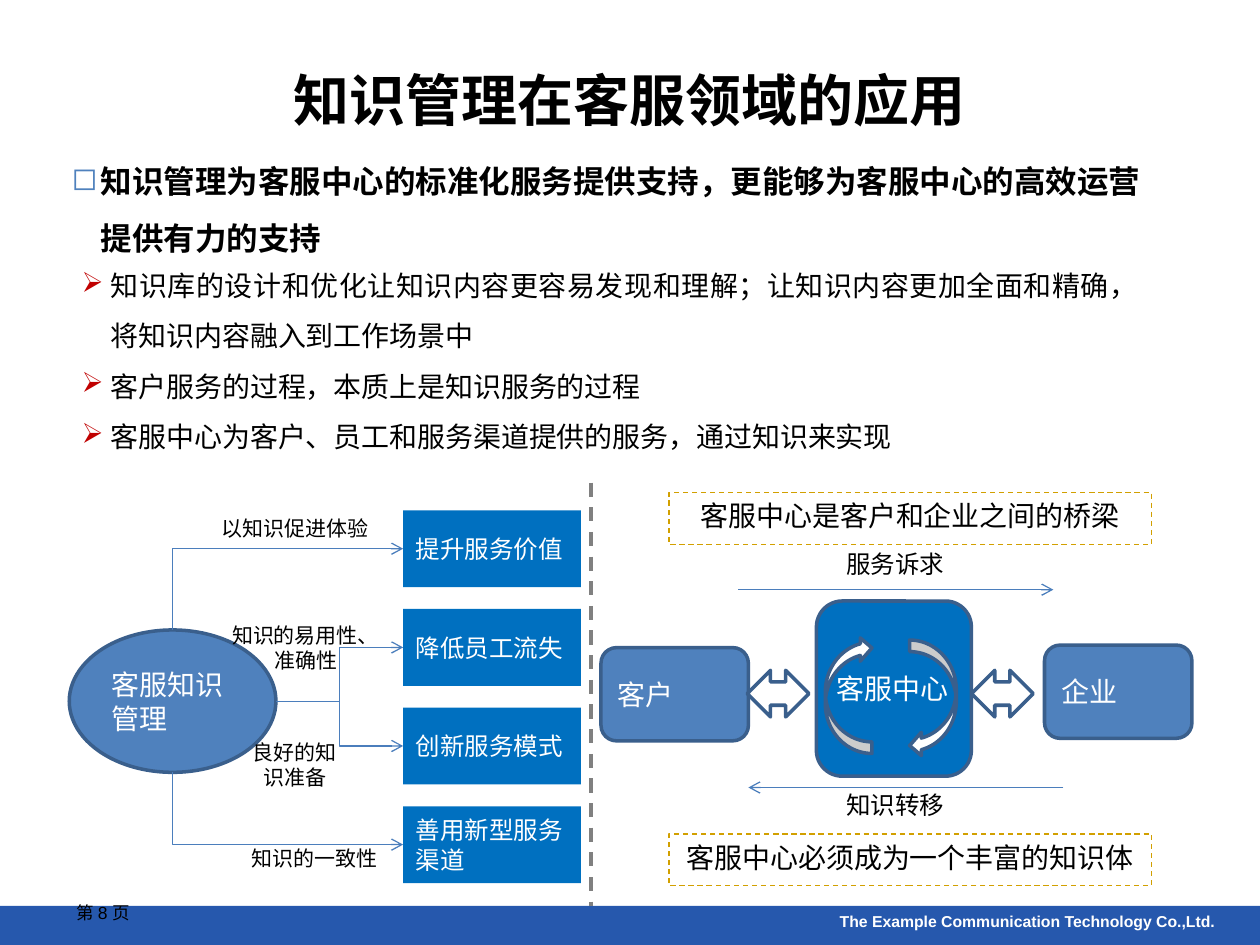
from lxml import etree
from pptx import Presentation
from pptx.dml.color import RGBColor
from pptx.enum.dml import MSO_LINE
from pptx.enum.shapes import MSO_CONNECTOR, MSO_SHAPE
from pptx.enum.text import MSO_ANCHOR, PP_ALIGN
from pptx.oxml.ns import qn
from pptx.util import Inches, Pt

BLUE, DEEP_BLUE, EDGE, ARROW = "4F81BD", "0070C0", "3A5F8C", "4B7EBC"
CJK = "Noto Sans CJK SC"

prs = Presentation()
prs.slide_width, prs.slide_height = Inches(10), Inches(7.5)
slide = prs.slides.add_slide(prs.slide_layouts[5])


def write(shape, text, size, font="Arial", color="000000", bold=False,
          align=PP_ALIGN.LEFT, anchor=MSO_ANCHOR.TOP, bullet=None):
    """Fill a shape with one paragraph per line; bullet is (character, colour)."""
    frame = shape.text_frame
    frame.word_wrap = True
    frame.vertical_anchor = anchor
    for number, line in enumerate(text.split("\n")):
        paragraph = frame.add_paragraph() if number else frame.paragraphs[0]
        paragraph.alignment = align
        if bullet:
            paragraph.line_spacing = 1.5
            props = paragraph._p.get_or_add_pPr()
            props.set("marL", str(Inches(0.23)))
            props.set("indent", str(Inches(-0.23)))
            bullet_color = etree.SubElement(props, qn("a:buClr"))
            etree.SubElement(bullet_color, qn("a:srgbClr"), val=bullet[1])
            etree.SubElement(props, qn("a:buChar"), char=bullet[0])
        run = paragraph.add_run()
        run.text = line
        run.font.size, run.font.bold, run.font.name = Pt(size), bold, font
        run.font.color.rgb = RGBColor.from_string(color)
        etree.SubElement(run._r.get_or_add_rPr(), qn("a:ea"), typeface=CJK)


def style(shape, line=None, width=0.75, fill=None, dash=None, arrow=None):
    """Set outline and fill; arrow is headEnd or tailEnd on a connector."""
    if line:
        shape.line.color.rgb = RGBColor.from_string(line)
        shape.line.width = Pt(width)
        shape.line.dash_style = dash
    else:
        shape.line.fill.background()
    if hasattr(shape, "begin_x"):
        etree.SubElement(shape._element.spPr, qn("a:effectLst"))
    else:
        shape.shadow.inherit = False
        if fill:
            shape.fill.solid()
            shape.fill.fore_color.rgb = RGBColor.from_string(fill)
        else:
            shape.fill.background()
    if arrow:
        etree.SubElement(shape.line._get_or_add_ln(), qn("a:" + arrow), type="arrow")


# Title
title = slide.shapes.title
title.left, title.top, title.width, title.height = map(Inches, (0.5, 0.16, 9, 1.25))
write(title, "知识管理在客服领域的应用", 32, CJK, bold=True,
      align=PP_ALIGN.CENTER, anchor=MSO_ANCHOR.MIDDLE)

# Footer
footer_bar = slide.shapes.add_shape(
    MSO_SHAPE.RECTANGLE, Inches(0), Inches(7.19), Inches(10), Inches(0.31))
style(footer_bar, fill="2658AD")
company = slide.shapes.add_textbox(Inches(4.38), Inches(7.19), Inches(5.36), Inches(0.31))
write(company, "The Example Communication Technology Co.,Ltd.", 9,
      color="FFFFFF", bold=True, align=PP_ALIGN.RIGHT)
page_number = slide.shapes.add_textbox(Inches(0.51), Inches(7.11), Inches(2.33), Inches(0.23))
write(page_number, "第 8 页", 10)

# Statement and its points
statement = slide.shapes.add_textbox(Inches(0.47), Inches(1.09), Inches(8.91), Inches(1))
write(statement, "知识管理为客服中心的标准化服务提供支持，更能够为客服中心的高效运营提供有力的支持",
      18, bold=True, bullet=("◻", BLUE))
points = slide.shapes.add_textbox(Inches(0.55), Inches(1.95), Inches(8.59), Inches(1.72))
write(points, "知识库的设计和优化让知识内容更容易发现和理解；让知识内容更加全面和精确，将知识内容融入到工作场景中\n"
      "客户服务的过程，本质上是知识服务的过程\n"
      "客服中心为客户、员工和服务渠道提供的服务，通过知识来实现",
      16, bullet=("➢", "C00000"))
points.text_frame.paragraphs[0].alignment = PP_ALIGN.JUSTIFY

# Left: knowledge management leads to four benefits
knowledge = slide.shapes.add_shape(
    MSO_SHAPE.OVAL, Inches(0.55), Inches(5), Inches(1.64), Inches(1.13))
style(knowledge, EDGE, 2, BLUE)
write(knowledge, "客服知识管理", 16, "Calibri", "FFFFFF", anchor=MSO_ANCHOR.MIDDLE)

benefits = [  # wording, where the branch leaves the ellipse, connector preset
    ("提升服务价值", 1.37, 5, "bentConnector2"),
    ("降低员工流失", 2.19, 5.57, "bentConnector3"),
    ("创新服务模式", 2.19, 5.57, "bentConnector3"),
    ("善用新型服务渠道", 1.37, 6.13, "bentConnector2"),
]
for row, (wording, start_x, start_y, preset) in enumerate(benefits):
    top = 4.05 + row * 0.783
    benefit = slide.shapes.add_shape(
        MSO_SHAPE.RECTANGLE, Inches(3.2), Inches(top), Inches(1.41), Inches(0.61))
    style(benefit, fill=DEEP_BLUE)
    write(benefit, wording, 14, "Calibri", "FFFFFF", anchor=MSO_ANCHOR.MIDDLE)
    branch = slide.shapes.add_connector(
        MSO_CONNECTOR.ELBOW, Inches(3.2), Inches(top + 0.305),
        Inches(start_x), Inches(start_y))
    branch._element.spPr.find(qn("a:prstGeom")).set("prst", preset)
    style(branch, ARROW, arrow="headEnd")

# Right: the service centre between customer and company
for wording, left, top, width, height, fill in [
    ("客户", 4.77, 5.14, 1.17, 0.74, BLUE),
    ("客服中心", 6.48, 4.77, 1.23, 1.39, DEEP_BLUE),
    ("企业", 8.29, 5.12, 1.17, 0.74, BLUE),
]:
    party = slide.shapes.add_shape(
        MSO_SHAPE.ROUNDED_RECTANGLE, Inches(left), Inches(top), Inches(width), Inches(height))
    style(party, EDGE, 2, fill)
    write(party, wording, 16, "Calibri", "FFFFFF", anchor=MSO_ANCHOR.MIDDLE)

for left in (5.93, 7.71):
    exchange = slide.shapes.add_shape(
        MSO_SHAPE.LEFT_RIGHT_ARROW, Inches(left), Inches(5.32), Inches(0.49), Inches(0.37))
    style(exchange, EDGE, 2)

for left, top, rotation in [(7.22, 5.08, 0), (6.55, 5.05, 180)]:
    cycle = slide.shapes.add_shape(
        MSO_SHAPE.CURVED_LEFT_ARROW, Inches(left), Inches(top), Inches(0.37), Inches(0.93))
    cycle.rotation = rotation
    style(cycle, EDGE, 2, "FFFFFF")

for start_x, end_x, y in [(5.86, 8.36, 4.68), (8.44, 5.94, 6.25)]:
    flow = slide.shapes.add_connector(
        MSO_CONNECTOR.STRAIGHT, Inches(start_x), Inches(y), Inches(end_x), Inches(y))
    style(flow, ARROW, arrow="tailEnd")

for wording, top in [("客服中心是客户和企业之间的桥梁", 3.91), ("客服中心必须成为一个丰富的知识体", 6.62)]:
    message = slide.shapes.add_shape(
        MSO_SHAPE.RECTANGLE, Inches(5.31), Inches(top), Inches(3.83), Inches(0.41))
    style(message, "D2A000", dash=MSO_LINE.DASH)
    write(message, wording, 16, align=PP_ALIGN.CENTER)

# Labels along the arrows
for wording, left, top, width, height, size in [
    ("以知识促进体验", 1.56, 4.04, 1.56, 0.3, 12),
    ("知识的易用性、准确性", 1.72, 4.89, 1.41, 0.5, 12),
    ("良好的知识准备", 1.87, 5.82, 0.94, 0.5, 12),
    ("知识的一致性", 1.72, 6.66, 1.56, 0.3, 12),
    ("服务诉求", 6.09, 4.31, 2.03, 0.38, 14),
    ("知识转移", 6.09, 6.22, 2.03, 0.38, 14),
]:
    label = slide.shapes.add_textbox(Inches(left), Inches(top), Inches(width), Inches(height))
    write(label, wording, size, align=PP_ALIGN.CENTER)

divider = slide.shapes.add_connector(
    MSO_CONNECTOR.STRAIGHT, Inches(4.69), Inches(3.83), Inches(4.69), Inches(7.19))
style(divider, "808080", 2, dash=MSO_LINE.DASH)

prs.save("out.pptx")
